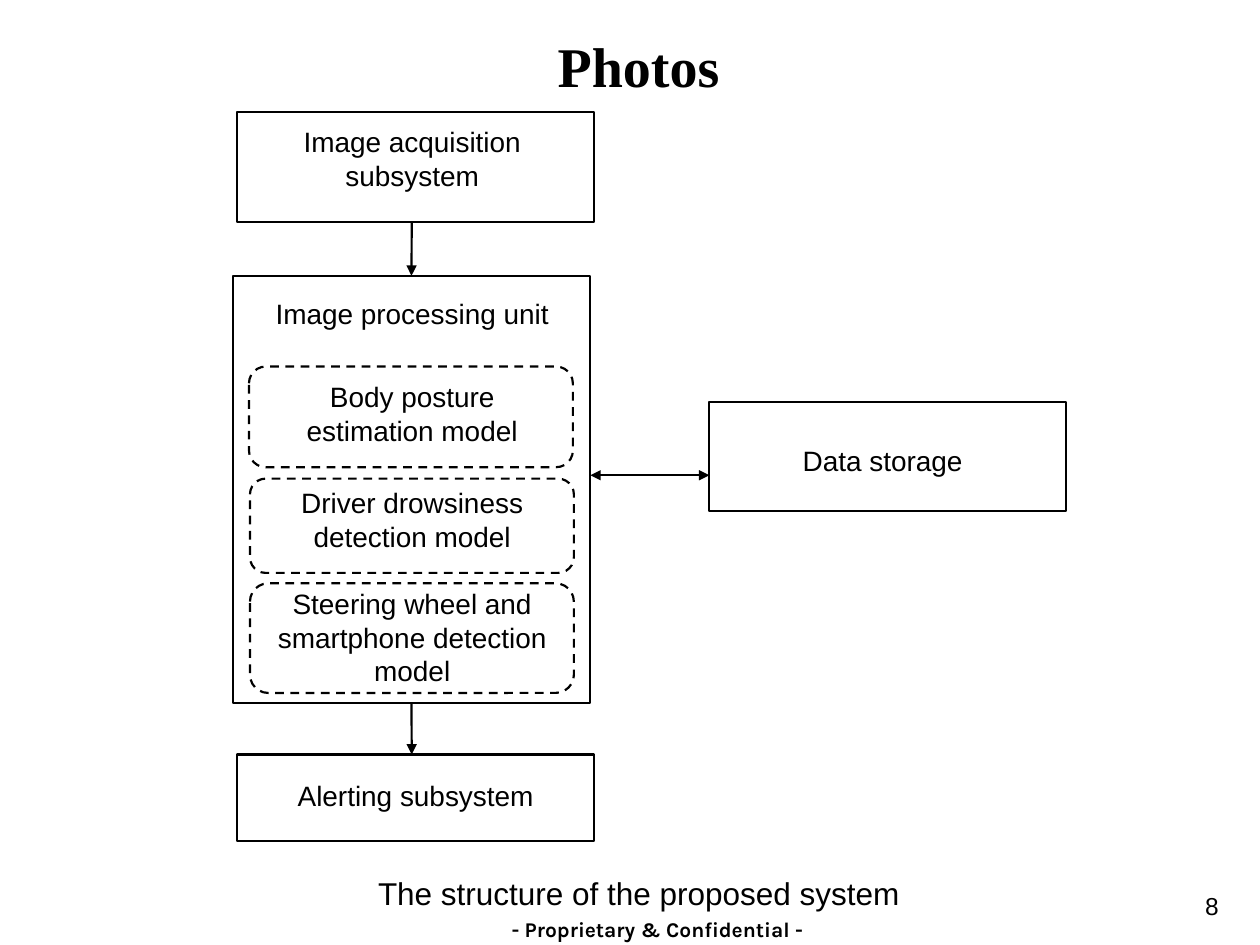
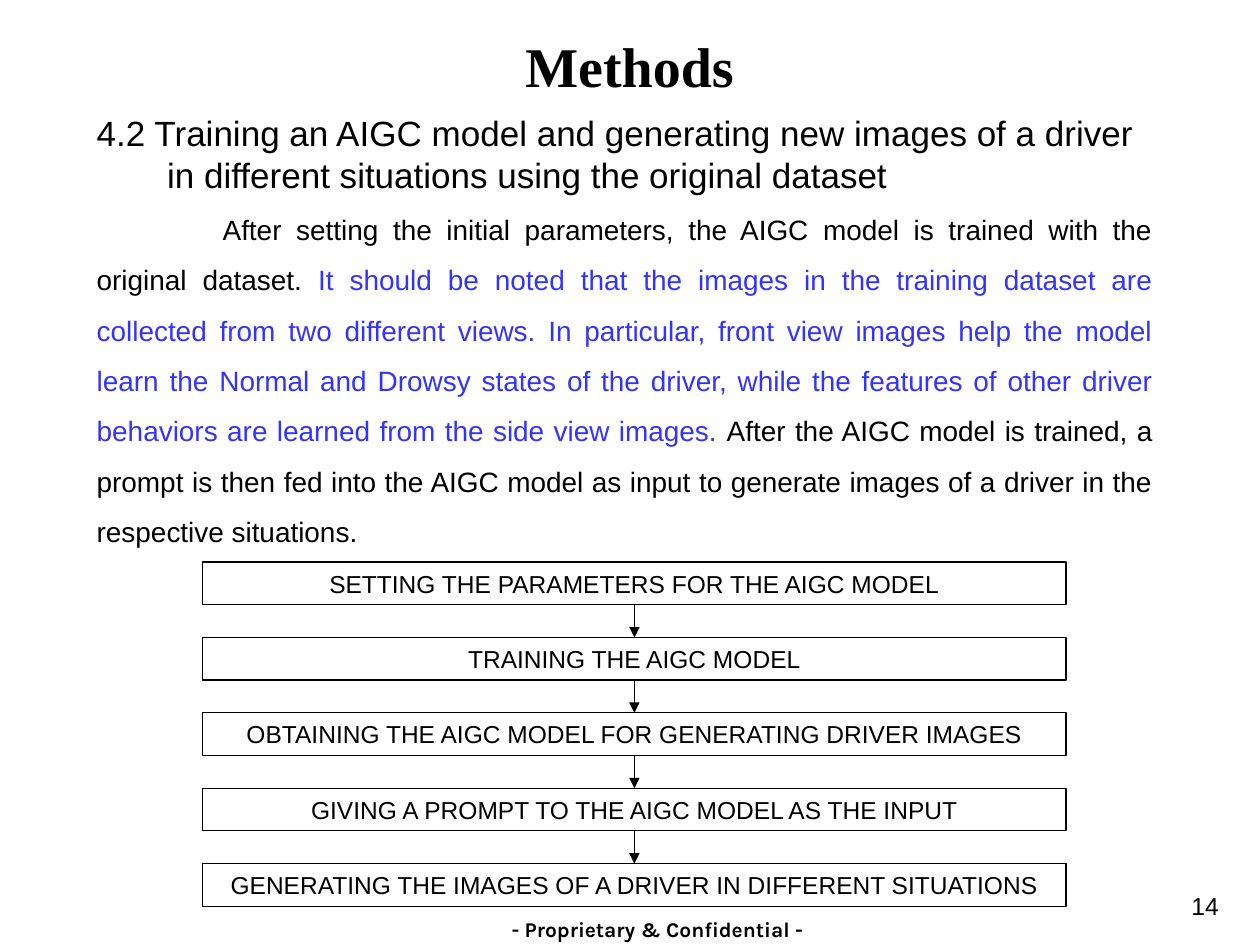
import pptx
import pptx.dml.color
import pptx.enum.dml
import pptx.enum.shapes
import pptx.enum.text
import pptx.oxml.ns
import pptx.util
from lxml import etree

Cm = pptx.util.Cm
Pt = pptx.util.Pt
ALIGN = pptx.enum.text.PP_ALIGN
MIDDLE = pptx.enum.text.MSO_ANCHOR.MIDDLE
TOP = pptx.enum.text.MSO_ANCHOR.TOP
SHAPE = pptx.enum.shapes.MSO_SHAPE

COLORS = {"ink": "000000", "highlight": "3333FF"}
FONTS = {
    "title": {"name": "Times New Roman", "size": Pt(32), "bold": True},
    "footer": {"name": "Karla", "size": Pt(12), "bold": True},
    "heading": {"name": "Arial", "size": Pt(20)},
    "caption": {"name": "Arial", "size": Pt(18)},
    "body": {"name": "Arial", "size": Pt(16)},
    "step": {"name": "Arial", "size": Pt(14)},
}


def set_attributes(target, values):
    for name, value in values.items():
        setattr(target, name, value)


def rgb(color):
    return pptx.dml.color.RGBColor.from_string(COLORS[color])


class Deck:
    def __init__(self):
        self.presentation = pptx.Presentation()
        self.presentation.slide_width = Cm(25.4)
        self.presentation.slide_height = Cm(19.05)
        self.slide = None

    def new_slide(self, title, title_left, number):
        self.slide = self.presentation.slides.add_slide(self.presentation.slide_layouts[6])
        self.text((18.9, 17.83, 5.92, 1.14), number, "step", align=ALIGN.RIGHT, anchor=TOP)
        footer = self.text((9.09, 18.47, 8.33, 0.51), "- Proprietary & Confidential -",
                           "footer", anchor=TOP)
        set_attributes(footer, {"margin_left": 0, "margin_right": 0,
                                "margin_top": 0, "margin_bottom": 0})
        self.text((title_left, 0.52, 21.59, 1.6), title, "title")

    def paragraph(self, paragraph, runs, font, align, spacing=1.0):
        set_attributes(paragraph, {"alignment": align, "line_spacing": spacing})
        for words, color in runs:
            run = paragraph.add_run()
            run.text = words
            set_attributes(run.font, FONTS[font])
            run.font.color.rgb = rgb(color)

    def text(self, area, words, font, align=ALIGN.CENTER, spacing=1.0, anchor=MIDDLE):
        frame = self.slide.shapes.add_textbox(*map(Cm, area)).text_frame
        set_attributes(frame, {"word_wrap": True, "vertical_anchor": anchor})
        self.paragraph(frame.paragraphs[0], [(words, "ink")], font, align, spacing)
        return frame

    def indent(self, paragraph, left, first):
        properties = paragraph._p.get_or_add_pPr()
        properties.set("marL", str(Cm(left)))
        properties.set("indent", str(Cm(first)))

    def box(self, area, kind=SHAPE.RECTANGLE, width=1.25, dashed=False, words=None):
        box = self.slide.shapes.add_shape(kind, *map(Cm, area))
        box.shadow.inherit = False
        box.fill.background()
        box.line.color.rgb = rgb("ink")
        box.line.width = Pt(width)
        if dashed:
            box.line.dash_style = pptx.enum.dml.MSO_LINE.DASH
        if words:
            set_attributes(box.text_frame, {"word_wrap": True, "vertical_anchor": MIDDLE})
            self.paragraph(box.text_frame.paragraphs[0], [(words, "ink")], "step", ALIGN.CENTER)
        return box

    def arrow(self, start, end, width=1.25, both=False, begin_box=None, end_box=None):
        arrow = self.slide.shapes.add_connector(
            pptx.enum.shapes.MSO_CONNECTOR.STRAIGHT, *map(Cm, start + end))
        if begin_box is not None:
            arrow.begin_connect(begin_box, 2)
        if end_box is not None:
            arrow.end_connect(end_box, 0)
        arrow.line.color.rgb = rgb("ink")
        arrow.line.width = Pt(width)
        line = arrow.line._get_or_add_ln()
        for tip in ("a:headEnd", "a:tailEnd") if both else ("a:tailEnd",):
            etree.SubElement(line, pptx.oxml.ns.qn(tip), type="triangle")
        etree.SubElement(arrow._element.spPr, pptx.oxml.ns.qn("a:effectLst"))


def build_system_structure(deck):
    deck.new_slide("Photos", 2.08, "8")
    deck.text((5.26, 17.15, 15.24, 1.32), "The structure of the proposed system",
              "caption", spacing=1.5)

    # Subsystems
    processing = deck.box((4.7, 5.56, 7.19, 8.61))
    for area in ((4.78, 2.26, 7.19, 2.21), (4.78, 15.21, 7.19, 1.75), (14.3, 8.1, 7.19, 2.21)):
        deck.box(area)

    # Models inside the processing unit
    for left, top, height in ((5.02, 7.39, 2.03), (5.04, 9.65, 1.9), (5.04, 11.76, 2.21)):
        deck.box((left, top, 6.53, height), SHAPE.ROUNDED_RECTANGLE, dashed=True)

    # Labels
    for words, area, spacing in (
        ("Image acquisition subsystem", (5.26, 2.06, 6.1, 2.26), 1.0),
        ("Image processing unit", (5.26, 5.49, 6.1, 1.32), 1.5),
        ("Body posture estimation model", (5.26, 7.67, 6.1, 1.32), 1.0),
        ("Driver drowsiness detection model", (5.26, 9.47, 6.1, 2.01), 1.0),
        ("Steering wheel and smartphone detection model", (5.26, 11.84, 6.1, 2.01), 1.0),
        ("Alerting subsystem", (5.33, 15.34, 6.1, 1.04), 1.5),
        ("Data storage", (14.1, 8.46, 7.39, 1.32), 1.5),
    ):
        deck.text(area, words, "body", spacing=spacing)

    # Data flow
    deck.arrow((8.3, 4.46), (8.3, 5.56), end_box=processing)
    deck.arrow((8.3, 14.17), (8.3, 15.21), begin_box=processing)
    deck.arrow((14.3, 9.58), (11.9, 9.58), both=True)


def build_training_method(deck):
    deck.new_slide("Methods", 1.9, "14")

    # Heading and explanation
    frame = deck.text(
        (1.7, 2.13, 21.79, 9.07),
        "4.2 Training an AIGC model and generating new images of a driver "
        "in different situations using the original dataset",
        "heading", align=ALIGN.LEFT, anchor=TOP)
    deck.indent(frame.paragraphs[0], 1.42, -1.42)
    explanation = frame.add_paragraph()
    deck.paragraph(explanation, [
        ("After setting the initial parameters, the AIGC model is trained with the "
         "original dataset. ", "ink"),
        ("It should be noted that the images in the training dataset are collected from two "
         "different views. In particular, front view images help the model learn the Normal "
         "and Drowsy states of the driver, while the features of other driver behaviors are "
         "learned from the side view images. ", "highlight"),
        ("After the AIGC model is trained, a prompt is then fed into the AIGC model as input "
         "to generate images of a driver in the respective situations.", "ink"),
    ], "body", ALIGN.JUSTIFY, 1.5)
    deck.indent(explanation, 0, 2.54)

    # Steps, evenly spaced and joined by arrows
    steps = [
        deck.box((4.09, 11.33 + 1.52 * row, 17.4, 0.86), width=0.75, words=words)
        for row, words in enumerate((
            "SETTING THE PARAMETERS FOR THE AIGC MODEL",
            "TRAINING THE AIGC MODEL",
            "OBTAINING THE AIGC MODEL FOR GENERATING DRIVER IMAGES",
            "GIVING A PROMPT TO THE AIGC MODEL AS THE INPUT",
            "GENERATING THE IMAGES OF A DRIVER IN DIFFERENT SITUATIONS",
        ))
    ]
    for step, next_step in zip(steps, steps[1:]):
        deck.arrow((0, 0), (0, 0), width=1, begin_box=step, end_box=next_step)


def main():
    deck = Deck()
    build_system_structure(deck)
    build_training_method(deck)
    deck.presentation.save("out.pptx")


if __name__ == "__main__":
    main()
